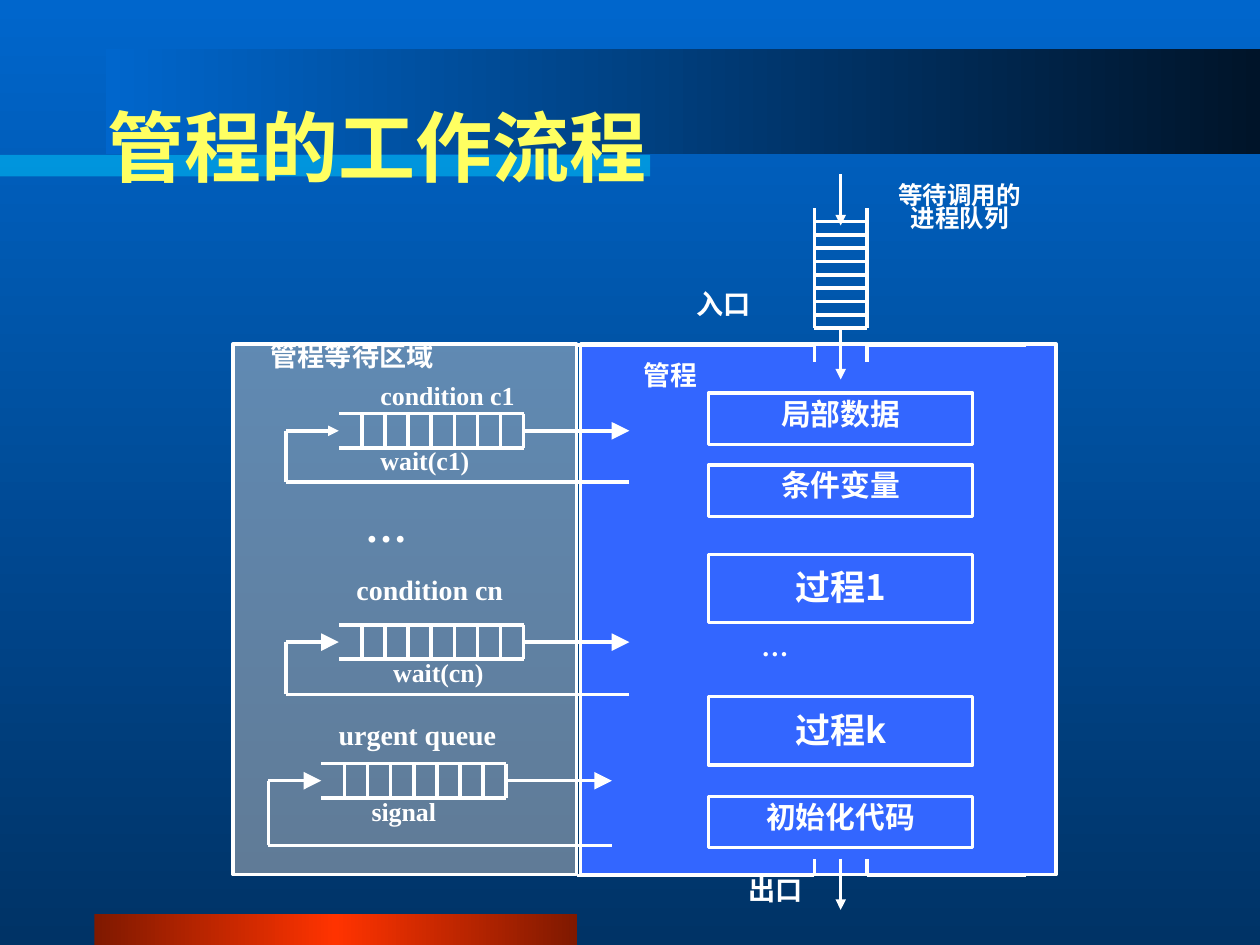
import copy
from dataclasses import dataclass

import pptx
import pptx.dml.color
import pptx.enum.shapes
import pptx.enum.text
import pptx.oxml
import pptx.oxml.ns
import pptx.util

qn = pptx.oxml.ns.qn
Align = pptx.enum.text.PP_ALIGN
Anchor = pptx.enum.text.MSO_ANCHOR
RECTANGLE = pptx.enum.shapes.MSO_SHAPE.RECTANGLE
STRAIGHT = pptx.enum.shapes.MSO_CONNECTOR.STRAIGHT

WIDTH, HEIGHT = 10, 7.5
# The diagram grid: column 0 is the left edge of the waiting area, row 0 its top
LEFT, TOP = 1.85, 2.74
COL, ROW = 6.29 / 30, 4.21 / 31


@dataclass(frozen=True)
class Theme:
    white: str = "FFFFFF"
    title: str = "FFFF61"
    monitor: str = "3366FF"
    waiting: str = "C0C0C0"
    stripe: str = "00CCFF"
    sky: tuple = ("0066CC", "003366")
    band: tuple = ("0066CC", "001429")
    ember: tuple = ("7F1900", "FF3300", "7F1900")
    latin: str = "Times New Roman"
    cjk: str = "Noto Sans CJK SC"
    title_size: float = 44
    dots_size: float = 24
    procedure_size: float = 20
    part_size: float = 17
    queue_size: float = 16
    label_size: float = 15.5
    name_size: float = 15.3
    call_size: float = 14.8
    note_size: float = 14
    line: float = 2


THEME = Theme()


def rgb(color):
    return pptx.dml.color.RGBColor.from_string(color)


def x(col):
    return pptx.util.Inches(LEFT + col * COL)


def y(row):
    return pptx.util.Inches(TOP + row * ROW)


def cells(col, row, cols, rows):
    """Place and size of an area on the diagram grid."""
    return x(col), y(row), x(col + cols) - x(col), y(row + rows) - y(row)


def percent(left, top, width, height):
    """Place and size of an area in percent of the slide."""
    return [pptx.util.Inches(share * side / 100) for share, side in
            zip((left, top, width, height), (WIDTH, HEIGHT) * 2)]


def fill_gradient(fill, element, colors, angle=0):
    fill.gradient()
    stops = next(element.iter(qn("a:gsLst")))
    while len(stops) < len(colors):
        stops.append(copy.deepcopy(stops[0]))
    for i, (stop, color) in enumerate(zip(fill.gradient_stops, colors)):
        stop.position = i / (len(colors) - 1)
        stop.color.rgb = rgb(color)
    fill.gradient_angle = angle


def add_rectangle(slide, area, color, outlined=True, alpha=None):
    rectangle = slide.shapes.add_shape(RECTANGLE, *area)
    rectangle.shadow.inherit = False
    if isinstance(color, tuple):
        fill_gradient(rectangle.fill, rectangle.element, color)
    else:
        rectangle.fill.solid()
        rectangle.fill.fore_color.rgb = rgb(color)
    if alpha:
        tint = next(rectangle.element.spPr.iter(qn("a:srgbClr")))
        tint.append(pptx.oxml.parse_xml(
            f'<a:alpha {pptx.oxml.ns.nsdecls("a")} val="{alpha * 1000}"/>'))
    if outlined:
        rectangle.line.color.rgb = rgb(THEME.white)
        rectangle.line.width = pptx.util.Pt(THEME.line)
    else:
        rectangle.line.fill.background()
    return rectangle


def write(frame, text, size, font, align, spacing=None, color=THEME.white):
    frame.word_wrap = True
    frame.text = text
    paragraph = frame.paragraphs[0]
    paragraph.alignment = align
    if spacing:
        paragraph.line_spacing = spacing
    run = paragraph.runs[0]
    run.font.size = pptx.util.Pt(size)
    run.font.bold = True
    run.font.color.rgb = rgb(color)
    run.font.name = font
    east_asian = run.font._element.makeelement(qn("a:ea"), {"typeface": THEME.cjk})
    run.font._element.append(east_asian)


def set_margins(frame, side, end):
    frame.margin_left = frame.margin_right = pptx.util.Inches(side)
    frame.margin_top = frame.margin_bottom = pptx.util.Inches(end)


def add_label(slide, text, area, size, spacing=None, font=THEME.cjk, align=Align.CENTER):
    frame = slide.shapes.add_textbox(*cells(*area)).text_frame
    set_margins(frame, 0, 0)
    write(frame, text, size, font, align, spacing)


def add_part(slide, text, row, rows, size, end_margin, spacing=None):
    part = add_rectangle(slide, cells(18, row, 10, rows), THEME.monitor)
    part.text_frame.vertical_anchor = Anchor.TOP
    set_margins(part.text_frame, 0.1, end_margin)
    write(part.text_frame, text, size, THEME.cjk, Align.CENTER, spacing)


def add_line(shapes, start, end, head=None):
    """Line between two (column, row) points; head is the arrowhead size."""
    line = shapes.add_connector(STRAIGHT, x(start[0]), y(start[1]), x(end[0]), y(end[1]))
    line.line.color.rgb = rgb(THEME.white)
    line.line.width = pptx.util.Pt(THEME.line)
    properties = line.element.spPr
    if head:
        outline = properties.find(qn("a:ln"))
        outline.append(outline.makeelement(
            qn("a:tailEnd"), {"type": "triangle", "w": head, "len": head}))
    properties.append(properties.makeelement(qn("a:effectLst"), {}))


def add_waiting_queue(slide, left, top, return_row, head="lg"):
    """Seven-column queue with its way in from the monitor and back."""
    right, middle, bottom = left + 7, top + 1, top + 2
    queue = slide.shapes.add_group_shape().shapes
    for row in (top, bottom):
        add_line(queue, (left, row), (right, row))
    for slot in range(1, 9):
        divider = left + slot * 7 / 8
        add_line(queue, (divider, top), (divider, bottom))
    turn, monitor = left - 2, right + 4
    add_line(slide.shapes, (monitor, return_row), (turn, return_row))
    add_line(slide.shapes, (turn, return_row), (turn, middle))
    add_line(slide.shapes, (turn, middle), (left, middle), head)
    add_line(slide.shapes, (right, middle), (monitor, middle), "lg")


def add_entry_queue(slide):
    queue = slide.shapes.add_group_shape().shapes
    for rail in (22, 24):
        add_line(queue, (rail, -8), (rail, -1))
    for rung in range(9):
        row = -1 - rung * 7 / 9
        add_line(queue, (22, row), (24, row))


def add_gates(slide):
    """Openings at the top and bottom of the monitor."""
    for wall, inner in ((0, 1), (31, 30)):
        for post, end in ((22, 13), (24, 30)):
            add_line(slide.shapes, (post, wall), (end, wall))
            add_line(slide.shapes, (post, wall), (post, inner))
    for start, end in ((-10, -7), (-1, 2), (30, 33)):
        add_line(slide.shapes, (23, start), (23, end), "med")


def add_backdrop_and_title(slide):
    fill_gradient(slide.background.fill, slide.element, THEME.sky, 270)
    add_rectangle(slide, percent(7.5, 96.67, 38.3, 3.33), THEME.ember, False)
    add_rectangle(slide, percent(8.4, 5.2, 91.6, 11.07), THEME.band, False)
    add_rectangle(slide, percent(-0.1, 16.4, 51.7, 2.27), THEME.stripe, False, 50)
    title = slide.shapes.title
    title.left, title.top, title.width, title.height = percent(7.5, 7.07, 85, 16.67)
    title.text_frame.vertical_anchor = Anchor.MIDDLE
    write(title.text_frame, "管程的工作流程", THEME.title_size, THEME.latin,
          Align.LEFT, color=THEME.title)
    slide.shapes.element.append(title.element)  # in front of the bars


def main():
    deck = pptx.Presentation()
    deck.slide_width = pptx.util.Inches(WIDTH)
    deck.slide_height = pptx.util.Inches(HEIGHT)
    slide = deck.slides.add_slide(deck.slide_layouts[5])
    add_backdrop_and_title(slide)

    # Monitor and its waiting area
    add_rectangle(slide, cells(13.16, -0.07, 18, 31), THEME.monitor)
    add_rectangle(slide, cells(0, -0.07, 13, 31), THEME.waiting, alpha=50)

    # Condition queues and the urgent queue
    add_waiting_queue(slide, 4, 4, 8, head="med")
    add_waiting_queue(slide, 4, 16.35, 20.4)
    add_waiting_queue(slide, 3.34, 24.45, 29.23)
    for text, area, size, spacing in (
            ("condition c1", (5.58, 2.65, 6.44, 1.2), THEME.call_size, 0.6),
            ("wait(c1)", (5.58, 6.48, 5.1, 1.2), THEME.call_size, 0.6),
            ("…", (5, 9.06, 5.1, 5), THEME.dots_size, None),
            ("condition cn", (4.67, 13.84, 6.68, 1.5), THEME.queue_size, 0.7),
            ("wait(cn)", (6.06, 18.85, 5.1, 1.2), THEME.call_size, 0.6),
            ("urgent queue", (4, 22.31, 8, 1.5), THEME.queue_size, 0.7),
            ("signal", (5.24, 26.95, 5.1, 1.2), THEME.call_size, 0.6)):
        add_label(slide, text, area, size, spacing, THEME.latin, Align.JUSTIFY)

    # Parts inside the monitor
    for text, row in (("局部数据", 2.8), ("条件变量", 7), ("初始化代码", 26.36)):
        add_part(slide, text, row, 3, THEME.part_size, 0.05, 0.9)
    for text, row in (("过程1", 12.22), ("过程k", 20.54)):
        add_part(slide, text, row, 4, THEME.procedure_size, 0.09)
    add_label(slide, "…", (20, 17, 6, 2), THEME.label_size, 0.8, THEME.latin, Align.LEFT)

    # Entry, exit and area names
    add_entry_queue(slide)
    add_gates(slide)
    add_label(slide, "出口", (18, 31.22, 5.1, 2), THEME.label_size, 0.8)
    add_label(slide, "入口", (16, -3, 5.1, 2), THEME.label_size, 0.8)
    add_label(slide, "管程", (14, 1, 5.1, 2), THEME.name_size, 0.9)
    add_label(slide, "等待调用的进程队列", (25, -9.35, 5, 4), THEME.note_size, 0.8)
    add_label(slide, "管程等待区域", (0, 0, 9, 2), THEME.label_size, 0.8)

    deck.save("out.pptx")


if __name__ == "__main__":
    main()
